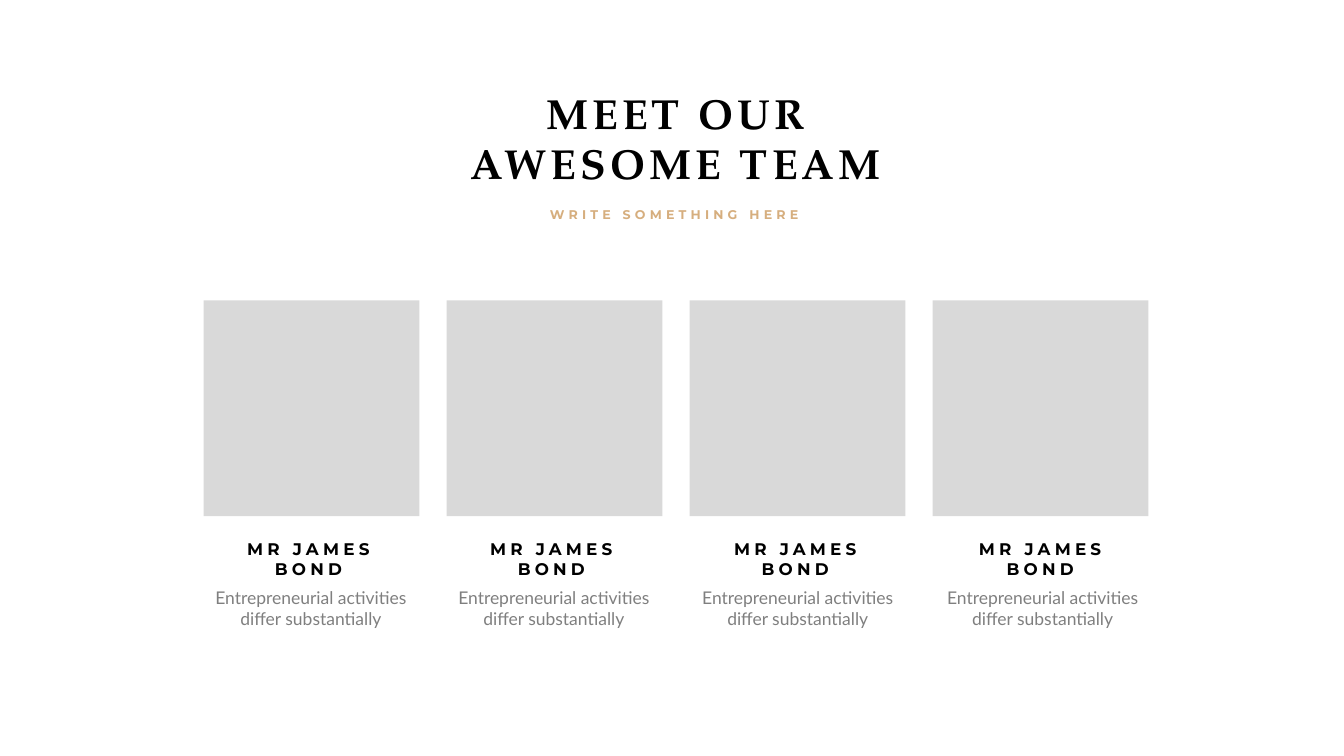
from pptx import Presentation
from pptx.dml.color import RGBColor
from pptx.enum.shapes import MSO_SHAPE as Preset
from pptx.enum.text import MSO_AUTO_SIZE as AutoSize, PP_ALIGN as Align
from pptx.util import Inches, Pt

COLORS = {"ink": "000000", "gold": "D6AE7E", "grey": "7F7F7F", "photo": "D9D9D9"}
SERIF, SANS, BODY = "TeX Gyre Pagella", "Montserrat", "Lato"

PHOTO_LEFT, PHOTO_TOP, PHOTO_SIZE, PHOTO_PITCH = 4.04, 5.96, 4.28, 4.823
CAPTION_LEFTS = [4.16, 8.98, 13.82, 18.68]
NAME_INDENT = 0.6

MEMBERS = [("MR JAMES\nBOND", "Entrepreneurial activities differ substantially")] * 4


class TeamSlide:
    def __init__(self, slide):
        self.slide = slide

    def photo(self, left, top, size):
        frame = self.slide.shapes.add_shape(
            Preset.RECTANGLE, Inches(left), Inches(top), Inches(size), Inches(size))
        frame.shadow.inherit = False
        frame.fill.solid()
        frame.fill.fore_color.rgb = RGBColor.from_string(COLORS["photo"])
        frame.line.fill.background()

    def text(self, box, words, font, size, color, bold=False, tracking=0,
             line_spacing=None, wrap=True):
        """Add centred text; tracking is the letter spacing in points."""
        label = self.slide.shapes.add_textbox(*map(Inches, box))
        text_frame = label.text_frame
        text_frame.text = words
        text_frame.word_wrap = wrap
        text_frame.auto_size = AutoSize.SHAPE_TO_FIT_TEXT
        for paragraph in text_frame.paragraphs:
            paragraph.alignment = Align.CENTER
            if line_spacing:
                paragraph.line_spacing = line_spacing
            for run in paragraph.runs:
                run.font.name = font
                run.font.size = Pt(size)
                run.font.bold = bold
                run.font.color.rgb = RGBColor.from_string(COLORS[color])
                if tracking:
                    run.font._element.set("spc", str(tracking * 100))


def main():
    deck = Presentation()
    deck.slide_width, deck.slide_height = Inches(26.67), Inches(15)
    team = TeamSlide(deck.slides.add_slide(deck.slide_layouts[6]))

    team.text((7.62, 1.68, 11.58, 2.12), "MEET OUR\nAWESOME TEAM",
              SERIF, 60, "ink", bold=True, tracking=6)
    team.text((10.3, 3.9, 6.16, 0.51), "WRITE SOMETHING HERE",
              SANS, 18, "gold", bold=True, tracking=6, line_spacing=1.5)

    for column in range(len(MEMBERS)):
        team.photo(PHOTO_LEFT + column * PHOTO_PITCH, PHOTO_TOP, PHOTO_SIZE)

    for left, (name, role) in zip(CAPTION_LEFTS, MEMBERS):
        team.text((left, 11.59, 4.02, 0.94), role, BODY, 25, "grey")
        team.text((left + NAME_INDENT, 10.64, 2.72, 0.91), name,
                  SANS, 24, "ink", bold=True, tracking=6, wrap=False)

    deck.save("out.pptx")


if __name__ == "__main__":
    main()
